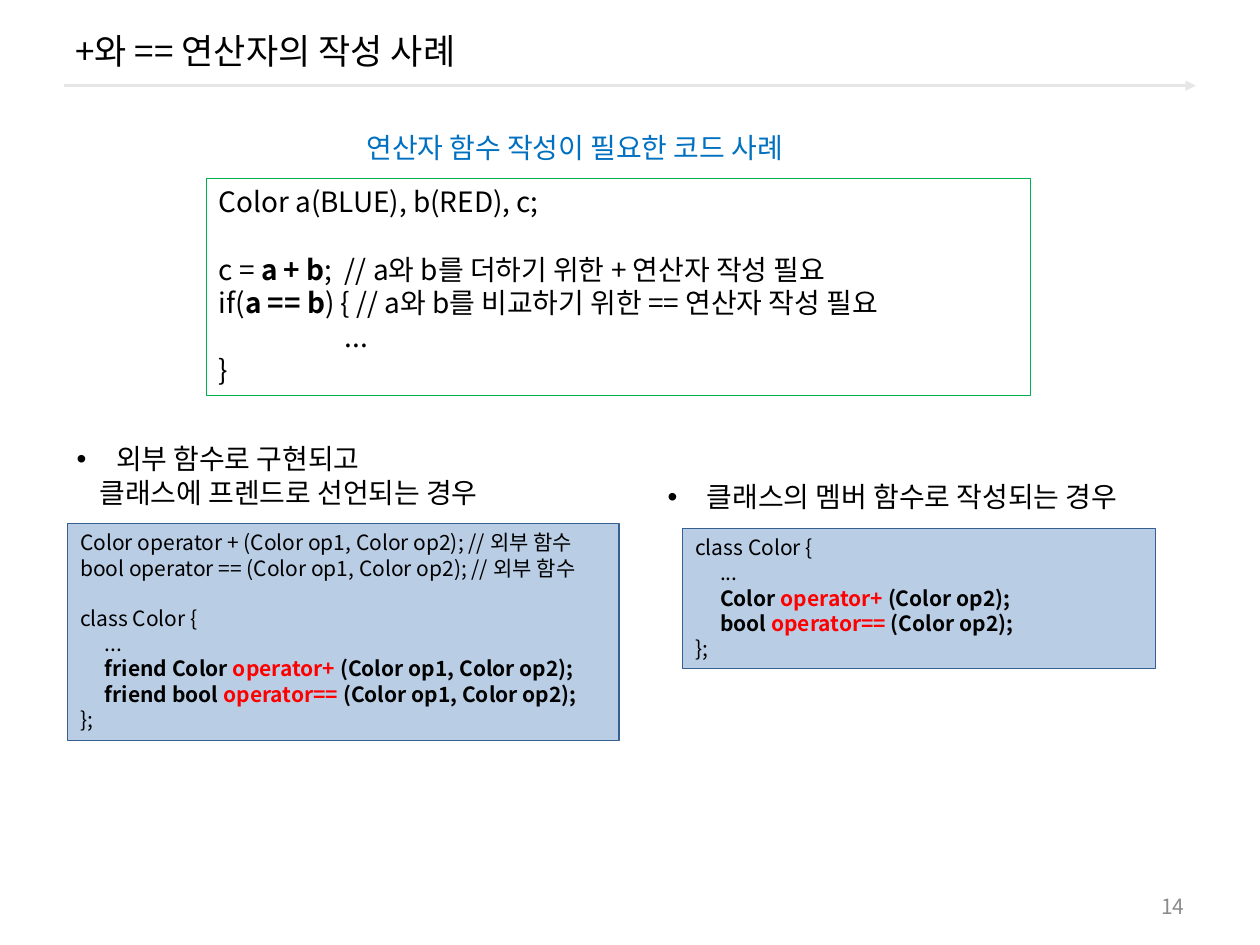
"""Slide on writing the + and == operators, with three code boxes."""
from lxml.etree import SubElement as Sub
from pptx import Presentation
from pptx.dml.color import RGBColor as RGB
from pptx.enum.shapes import MSO_CONNECTOR as Link, MSO_SHAPE as Kind
from pptx.enum.text import MSO_ANCHOR as Anchor, PP_ALIGN as Align
from pptx.oxml.ns import qn
from pptx.util import Pt

FONT = "Noto Sans CJK KR"
BLACK, RED = "000000", "FF0000"


def color(code):
    return RGB.from_string(code)


def write(shape, lines, size, ink=BLACK, tab=72):
    """Fill a shape; a line is (text, bold, ink) runs, and an empty line is a gap."""
    frame = shape.text_frame
    frame.word_wrap = True
    frame.vertical_anchor = Anchor.TOP
    para, gap = None, 0
    for line in lines:
        if not line:
            gap = size * 1.2
            continue
        para = frame.add_paragraph() if para else frame.paragraphs[0]
        para.alignment = Align.LEFT
        para.space_before = Pt(gap)
        gap = 0
        if line[0][0].startswith("\t"):
            tabs = Sub(para._p.get_or_add_pPr(), qn("a:tabLst"))
            Sub(tabs, qn("a:tab"), pos=str(Pt(tab)), algn="l")
        for text, bold, tint in line:
            run = para.add_run()
            run.text = text
            font = run.font
            font.name, font.size, font.bold = FONT, Pt(size), bold
            font.color.rgb = color(tint or ink)
            Sub(run._r.get_or_add_rPr(), qn("a:ea"), typeface=FONT)
    return frame


def plain(text):
    return [(text, False, None)]


def method(head, name, args):
    return [("\t" + head, True, None), (name, True, RED), (args, True, None)]


deck = Presentation()
deck.slide_width, deck.slide_height = Pt(720), Pt(540)
slide = deck.slides.add_slide(deck.slide_layouts[6])
shapes = slide.shapes

rule = shapes.add_connector(Link.STRAIGHT, Pt(36.7), Pt(49), Pt(683.3), Pt(49))
rule.line.color.rgb = color("E6E6E6")
rule.line.width = Pt(1.5)
Sub(rule.line._get_or_add_ln(), qn("a:tailEnd"), type="triangle")
Sub(rule._element.spPr, qn("a:effectLst"))

labels = [
    (36, 5.8, 648, 46, 20, BLACK, ["+와 == 연산자의 작성 사례"]),
    (516, 506, 168, 23, 12, "8C8C8C", ["14"]),
    (202.3, 71.3, 285, 26.6, 16, "0070C0", ["연산자 함수 작성이 필요한 코드 사례"]),
    (36.7, 249, 275, 46, 16, BLACK, ["외부 함수로 구현되고", "클래스에 프렌드로 선언되는 경우"]),
    (374.4, 270.7, 308, 26.6, 16, BLACK, ["클래스의 멤버 함수로 작성되는 경우"]),
]
frames = []
for x, y, w, h, size, ink, texts in labels:
    box = shapes.add_textbox(Pt(x), Pt(y), Pt(w), Pt(h))
    frames.append(write(box, [plain(text) for text in texts], size, ink))

title, number, _, left, right = frames
title.vertical_anchor = number.vertical_anchor = Anchor.MIDDLE
number.paragraphs[0].alignment = Align.RIGHT
for frame in (left, right):
    props = frame.paragraphs[0]._p.get_or_add_pPr()
    props.set("marL", str(Pt(22.5)))
    props.set("indent", str(-Pt(22.5)))
    Sub(props, qn("a:buFont"), typeface="Arial")
    Sub(props, qn("a:buChar"), char="•")
left.paragraphs[1]._p.get_or_add_pPr().set("marL", str(Pt(13)))

usage = [
    plain("Color a(BLUE), b(RED), c;"),
    [],
    [("c = ", False, None), ("a + b", True, None),
     (";  // a와 b를 더하기 위한 + 연산자 작성 필요", False, None)],
    [("if(", False, None), ("a == b", True, None),
     (") { // a와 b를 비교하기 위한 == 연산자 작성 필요", False, None)],
    plain("\t..."),
    plain("}"),
]
friend = [
    plain("Color operator + (Color op1, Color op2); // 외부 함수"),
    plain("bool operator == (Color op1, Color op2); // 외부 함수"),
    [],
    plain("class Color {"),
    plain("\t..."),
    method("friend Color ", "operator+ ", "(Color op1, Color op2);"),
    method("friend bool ", "operator== ", "(Color op1, Color op2);"),
    plain("};"),
]
member = [
    plain("class Color {"),
    plain("\t..."),
    method("Color ", "operator+ ", "(Color op2);"),
    method("bool ", "operator== ", "(Color op2);"),
    plain("};"),
]
codes = [
    (118, 102.2, 471, 124, 16, None, "00B050", 72, usage),
    (38.7, 299.3, 315, 124, 12, "B9CDE5", "376092", 14.2, friend),
    (390.2, 302, 270, 80, 12, "B9CDE5", "376092", 14.2, member),
]
for x, y, w, h, size, fill, edge, tab, lines in codes:
    box = shapes.add_shape(Kind.RECTANGLE, Pt(x), Pt(y), Pt(w), Pt(h))
    box.shadow.inherit = False
    if fill:
        box.fill.solid()
        box.fill.fore_color.rgb = color(fill)
    else:
        box.fill.background()
    box.line.color.rgb = color(edge)
    box.line.width = Pt(0.75)
    write(box, lines, size, tab=tab)

deck.save("out.pptx")
